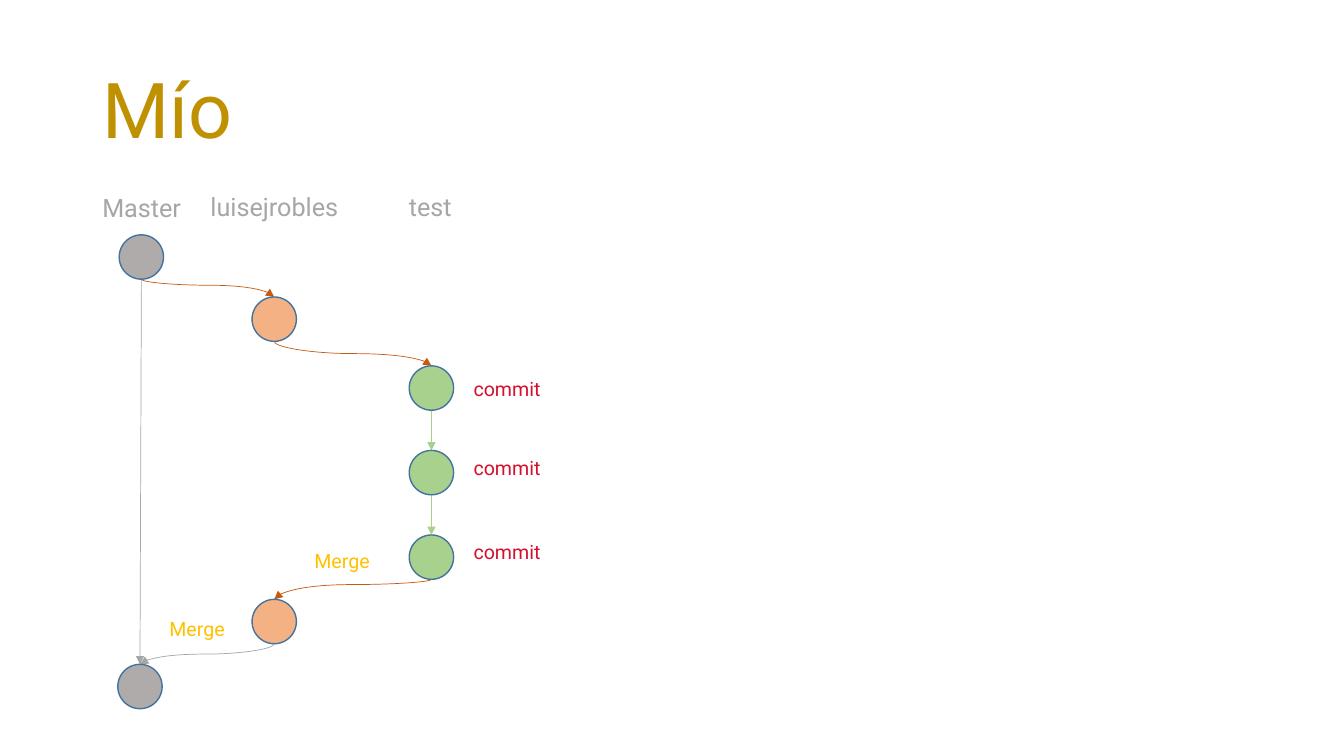
from lxml import etree
from pptx import Presentation
from pptx import util as u
from pptx.dml.color import RGBColor
from pptx.enum import shapes, text
from pptx.oxml import ns

GOLD = RGBColor(0xBF, 0x90, 0x00)
GRAY = RGBColor(0xA6, 0xA6, 0xA6)
CRIMSON = RGBColor(0xD5, 0x0F, 0x2E)
YELLOW = RGBColor(0xFF, 0xC0, 0x00)
RUST = RGBColor(0xC5, 0x5A, 0x11)
OUTLINE = RGBColor(0x43, 0x73, 0x9E)
MASTER_FILL = RGBColor(0xAF, 0xAB, 0xAB)
USER_FILL = RGBColor(0xF4, 0xB1, 0x83)
TEST_FILL = RGBColor(0xA9, 0xD1, 0x8E)


class BranchSlide:
    font = "Roboto"
    diameter = 31.7

    def __init__(self, deck):
        self.slide = deck.slides.add_slide(deck.slide_layouts[5])
        self.shapes = self.slide.shapes

    def set_words(self, frame, words, size, color):
        frame.text = words
        font = frame.paragraphs[0].runs[0].font
        font.name, font.size = self.font, u.Pt(size)
        font.color.rgb = color

    def title(self, words, left, top, width, height):
        heading = self.shapes.title
        heading.left, heading.top = u.Pt(left), u.Pt(top)
        heading.width, heading.height = u.Pt(width), u.Pt(height)
        frame = heading.text_frame
        self.set_words(frame, words, 55, GOLD)
        frame.auto_size = text.MSO_AUTO_SIZE.NONE
        frame.vertical_anchor = text.MSO_ANCHOR.MIDDLE
        frame.paragraphs[0].alignment = text.PP_ALIGN.LEFT
        frame.paragraphs[0].line_spacing = 0.9

    def label(self, words, left, top, width, height, size, color, wrap=False):
        box = self.shapes.add_textbox(*map(u.Pt, (left, top, width, height)))
        self.set_words(box.text_frame, words, size, color)
        box.text_frame.word_wrap = wrap
        box.text_frame.auto_size = text.MSO_AUTO_SIZE.SHAPE_TO_FIT_TEXT

    def node(self, center, fill):
        x, y = center
        r = self.diameter / 2
        circle = self.shapes.add_shape(
            shapes.MSO_SHAPE.OVAL, u.Pt(x - r), u.Pt(y - r),
            u.Pt(self.diameter), u.Pt(self.diameter))
        circle.shadow.inherit = False
        circle.fill.solid()
        circle.fill.fore_color.rgb = fill
        circle.line.color.rgb = OUTLINE
        circle.line.width = u.Pt(1)

    def connector(self, kind, begin, end, color):
        link = self.shapes.add_connector(kind, *map(u.Pt, (*begin, *end)))
        link.line.color.rgb = color
        link.line.width = u.Pt(0.5)
        properties = link._element.spPr
        line = properties.find(ns.qn("a:ln"))
        etree.SubElement(line, ns.qn("a:tailEnd"), type="triangle")
        etree.SubElement(properties, ns.qn("a:effectLst"))
        return link

    def ends(self, source, target):
        r = self.diameter / 2
        return (source[0], source[1] + r), (target[0], target[1] - r)

    def arrow(self, source, target, color):
        begin, end = self.ends(source, target)
        self.connector(shapes.MSO_CONNECTOR.STRAIGHT, begin, end, color)

    def curve(self, source, target, color, bend):
        (x1, y1), (x2, y2) = self.ends(source, target)
        mid_x, mid_y = (x1 + x2) / 2, (y1 + y2) / 2
        half_run, half_drop = abs(x2 - x1) / 2, (y2 - y1) / 2
        rightward = x2 > x1
        side = half_drop if rightward else -half_drop
        link = self.connector(
            shapes.MSO_CONNECTOR.CURVE, (mid_x + side, mid_y - half_run),
            (mid_x - side, mid_y + half_run), color)
        properties = link._element.spPr
        turn = 270 if rightward else 90
        properties.find(ns.qn("a:xfrm")).set("rot", str(turn * 60000))
        adjustments = properties.find(ns.qn("a:prstGeom")).find(ns.qn("a:avLst"))
        etree.SubElement(adjustments, ns.qn("a:gd"), name="adj1",
                         fmla=f"val {round(bend * 100000)}")


def main():
    deck = Presentation()
    deck.slide_width, deck.slide_height = u.Pt(960), u.Pt(540)
    page = BranchSlide(deck)
    page.title("Mío", 66, 28.8, 828, 104.4)

    for branch, left, top, width in (("Master", 66, 133.5, 77),
                                     ("luisejrobles", 143.2, 133, 109.5),
                                     ("test", 285, 133, 46.2)):
        page.label(branch, left, top, width, 29, 18, GRAY, wrap=True)

    master_start, master_end = (101, 183.6), (100, 490.4)
    user_start, user_end = (195.9, 228), (195.9, 444)
    commits = [(308.2, 277.2 + 60.4 * step) for step in range(3)]

    page.curve(master_start, user_start, RUST, 0.34)
    page.curve(user_start, commits[0], RUST, 0.5)
    page.arrow(master_start, master_end, GRAY)
    for earlier, later in zip(commits, commits[1:]):
        page.arrow(earlier, later, TEST_FILL)
    page.curve(commits[-1], user_end, RUST, 0.26)
    page.curve(user_end, master_end, GRAY, 0.5)

    for centers, fill in (((master_start, master_end), MASTER_FILL),
                          ((user_start, user_end), USER_FILL),
                          (commits, TEST_FILL)):
        for center in centers:
            page.node(center, fill)

    for top in (265.7, 321.8, 382.3):
        page.label("commit", 331.2, top, 62.6, 24.2, 14, CRIMSON)
    for left, top in ((217.4, 388.8), (113.8, 437)):
        page.label("Merge", left, top, 54, 24.2, 14, YELLOW)

    deck.save("out.pptx")


if __name__ == "__main__":
    main()
